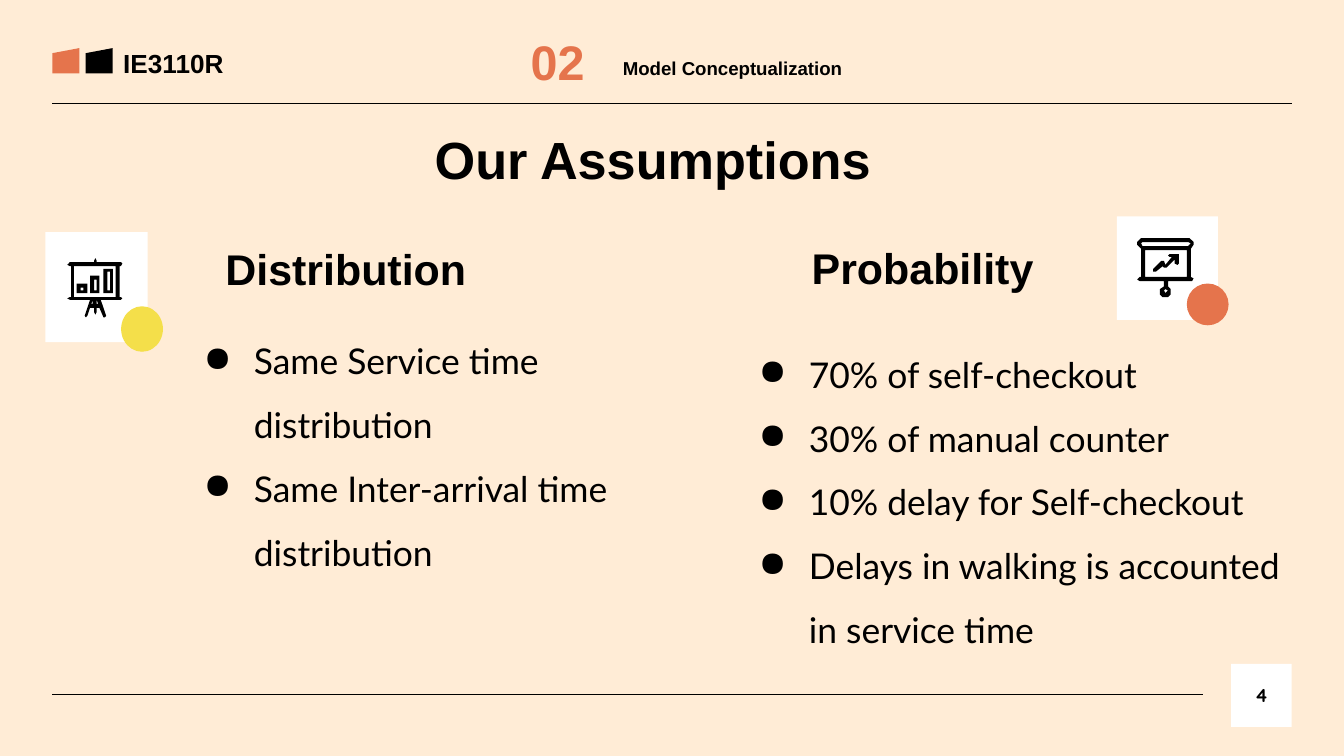
"""Build the "Our Assumptions" slide of the model conceptualization section."""
from dataclasses import dataclass

from lxml import etree
from pptx import Presentation
from pptx import util as u
from pptx.dml import color
from pptx.enum import shapes, text
from pptx.oxml import ns

SHAPE = shapes.MSO_SHAPE
MIDDLE = text.MSO_ANCHOR.MIDDLE
CENTER, RIGHT = text.PP_ALIGN.CENTER, text.PP_ALIGN.RIGHT


@dataclass(frozen=True)
class Theme:
    background: str = "FFECD6"
    ink: str = "000000"
    card: str = "FFFFFF"
    orange: str = "E5744C"
    yellow: str = "F4DF4A"
    heading_font: str = "Arial"
    body_font: str = "Lato"
    number_font: str = "Quicksand"
    title: int = 28
    section_number: int = 26
    heading: int = 23
    body: int = 19
    course: int = 14
    small: int = 10


THEME = Theme()
ICON_UNIT = u.Cm(0.0254)

SCREEN = [
    [(3, 0), (39, 0), (42, 3), (42, 5), (40, 8), (40, 29), (42, 30), (41, 32),
     (23, 32), (23, 36), (25, 38), (25, 42), (23, 44), (19, 44), (17, 42),
     (17, 38), (20, 36), (20, 32), (2, 32), (0, 31), (2, 29), (3, 29), (3, 8),
     (0, 5), (0, 3)],
    [(4, 3), (38, 3), (40, 4), (38, 6), (4, 6), (3, 4)],
    [(6, 9), (37, 9), (37, 29), (6, 29)],
    [(21, 38), (23, 39), (21, 41), (20, 39)],
]
ARROW = [
    [(24, 12), (31, 12), (31, 19), (30, 20), (28, 19), (28, 16), (22, 22),
     (20, 22), (19, 21), (14, 25), (12, 25), (12, 23), (18, 17), (20, 17),
     (21, 20), (26, 14), (24, 14), (23, 13)],
]
EASEL = [
    [(21, 0), (22, 2), (22, 3), (40, 3), (41, 4), (40, 6), (39, 6), (39, 29),
     (40, 29), (41, 30), (40, 31), (25, 31), (29, 43), (28, 44), (27, 44),
     (24, 37), (22, 37), (22, 40), (21, 42), (20, 40), (20, 37), (17, 37),
     (15, 43), (14, 44), (13, 43), (17, 31), (2, 31), (0, 30), (2, 29),
     (3, 29), (3, 6), (2, 6), (0, 5), (2, 3), (20, 3), (20, 2)],
    [(5, 6), (36, 6), (36, 29), (5, 29)],
    [(19, 31), (19, 34), (18, 34)],
    [(22, 31), (23, 34), (22, 34)],
]


def rgb(value):
    return color.RGBColor.from_string(value)


def lengths(values):
    return [u.Cm(value) for value in values]


def set_values(target, values):
    for name, value in values.items():
        setattr(target, name, value)


def paint(shape, fill):
    shape.shadow.inherit = False
    shape.fill.solid()
    shape.fill.fore_color.rgb = rgb(fill)
    shape.line.fill.background()


def add_block(slide, kind, box, fill):
    shape = slide.shapes.add_shape(kind, *lengths(box))
    paint(shape, fill)
    return shape


def add_rule(slide, left, right, y):
    line = slide.shapes.add_connector(
        shapes.MSO_CONNECTOR.STRAIGHT, *lengths((left, y, right, y)))
    line.line.color.rgb = rgb(THEME.ink)
    line.line.width = u.Pt(0.75)
    etree.SubElement(line._element.spPr, ns.qn("a:effectLst"))


def add_bullet(paragraph):
    properties = paragraph._p.get_or_add_pPr()
    properties.set("marL", str(u.Cm(1.27)))
    properties.set("indent", str(u.Cm(-0.95)))
    bullet_color = etree.SubElement(properties, ns.qn("a:buClr"))
    etree.SubElement(bullet_color, ns.qn("a:srgbClr"), val=THEME.ink)
    etree.SubElement(properties, ns.qn("a:buChar"), char="●")
    paragraph.line_spacing = 1.5


def write(shape, lines, size, font=THEME.heading_font, ink=THEME.ink, bold=True,
          align=text.PP_ALIGN.LEFT, bullets=False, **frame_values):
    frame = shape.text_frame
    margins = {f"margin_{side}": u.Cm(0.25)
               for side in ("left", "top", "right", "bottom")}
    set_values(frame, {"word_wrap": True, **margins, **frame_values})
    for index, line in enumerate(lines):
        paragraph = frame.add_paragraph() if index else frame.paragraphs[0]
        paragraph.alignment = align
        if bullets:
            add_bullet(paragraph)
        run = paragraph.add_run()
        run.text = line
        set_values(run.font, {"name": font, "size": u.Pt(size), "bold": bold})
        run.font.color.rgb = rgb(ink)


def add_text(slide, box, lines, size, **style):
    write(slide.shapes.add_textbox(*lengths(box)), lines, size, **style)


def rectangle(left, top, right, bottom):
    return [(left, top), (right, top), (right, bottom), (left, bottom)]


def bar(left, top, right, bottom, wall=2.5):
    return [rectangle(left, top, right, bottom),
            rectangle(left + wall, top + wall, right - wall, bottom - wall)]


def add_icon(slide, left, top, parts):
    group = slide.shapes.add_group_shape()
    for contours in parts:
        builder = group.shapes.build_freeform(*contours[0][0], scale=ICON_UNIT)
        for index, contour in enumerate(contours):
            if index:
                builder.move_to(*contour[0])
            builder.add_line_segments(contour[1:], close=True)
        paint(builder.convert_to_shape(u.Cm(left), u.Cm(top)), THEME.ink)


def add_header(slide):
    for left, fill in ((0.99, THEME.orange), (1.62, THEME.ink)):
        add_block(slide, SHAPE.FLOWCHART_MANUAL_INPUT, (left, 0.91, 0.51, 0.48), fill)
    add_text(slide, (2.08, 0.64, 4.75, 1.12), ["IE3110R"], THEME.course)
    add_text(slide, (9.78, 0.3, 2.21, 1.73), ["02"], THEME.section_number,
             ink=THEME.orange, vertical_anchor=MIDDLE)
    add_text(slide, (9.25, 0.89, 6.91, 1.19), ["Model Conceptualization"], THEME.small,
             align=RIGHT, vertical_anchor=MIDDLE, margin_bottom=u.Cm(0.66))
    add_rule(slide, 0.99, 24.41, 1.96)


def add_footer(slide):
    add_rule(slide, 0.99, 22.73, 13.13)
    card = add_block(slide, SHAPE.RECTANGLE, (23.27, 12.55, 1.14, 1.19), THEME.card)
    write(card, ["4"], THEME.small, font=THEME.number_font, align=CENTER,
          vertical_anchor=MIDDLE)


def add_column(slide, heading, heading_box, lines, body_box, anchor):
    add_text(slide, heading_box, [heading], THEME.heading, vertical_anchor=MIDDLE)
    add_text(slide, body_box, lines, THEME.body, font=THEME.body_font, bold=False,
             bullets=True, vertical_anchor=anchor)


def add_badge(slide, card_box, dot_box, dot_fill, icon_place, parts):
    add_block(slide, SHAPE.RECTANGLE, card_box, THEME.card)
    add_block(slide, SHAPE.OVAL, dot_box, dot_fill)
    add_icon(slide, *icon_place, parts)


def main():
    presentation = Presentation()
    set_values(presentation, {"slide_width": u.Cm(25.4), "slide_height": u.Cm(14.29)})
    slide = presentation.slides.add_slide(presentation.slide_layouts[6])
    slide.background.fill.solid()
    slide.background.fill.fore_color.rgb = rgb(THEME.background)
    add_header(slide)
    add_text(slide, (1.63, 2.16, 21.41, 1.6), ["Our Assumptions"], THEME.title,
             align=CENTER)
    add_column(slide, "Distribution", (4.01, 4.42, 5.66, 1.32),
               ["Same Service time distribution", "Same Inter-arrival time distribution"],
               (3.28, 6.43, 8.59, 3.99), MIDDLE)
    add_column(slide, "Probability", (15.09, 4.39, 6.4, 1.32),
               ["70% of self-checkout", "30% of manual counter",
                "10% delay for Self-checkout",
                "Delays in walking is accounted in service time"],
               (13.77, 6.02, 11.15, 7.75), text.MSO_ANCHOR.TOP)
    bars = [bar(7, 19, 15, 26), bar(17, 13, 24, 26), bar(27, 8, 34, 26)]
    add_badge(slide, (0.86, 4.39, 1.93, 2.08), (2.29, 5.79, 0.79, 0.86),
              THEME.yellow, (1.27, 4.88), [EASEL, *bars])
    add_badge(slide, (21.11, 4.09, 1.91, 1.96), (22.43, 5.36, 0.79, 0.79),
              THEME.orange, (21.49, 4.5), [SCREEN, ARROW])
    add_footer(slide)
    presentation.save("out.pptx")


if __name__ == "__main__":
    main()
